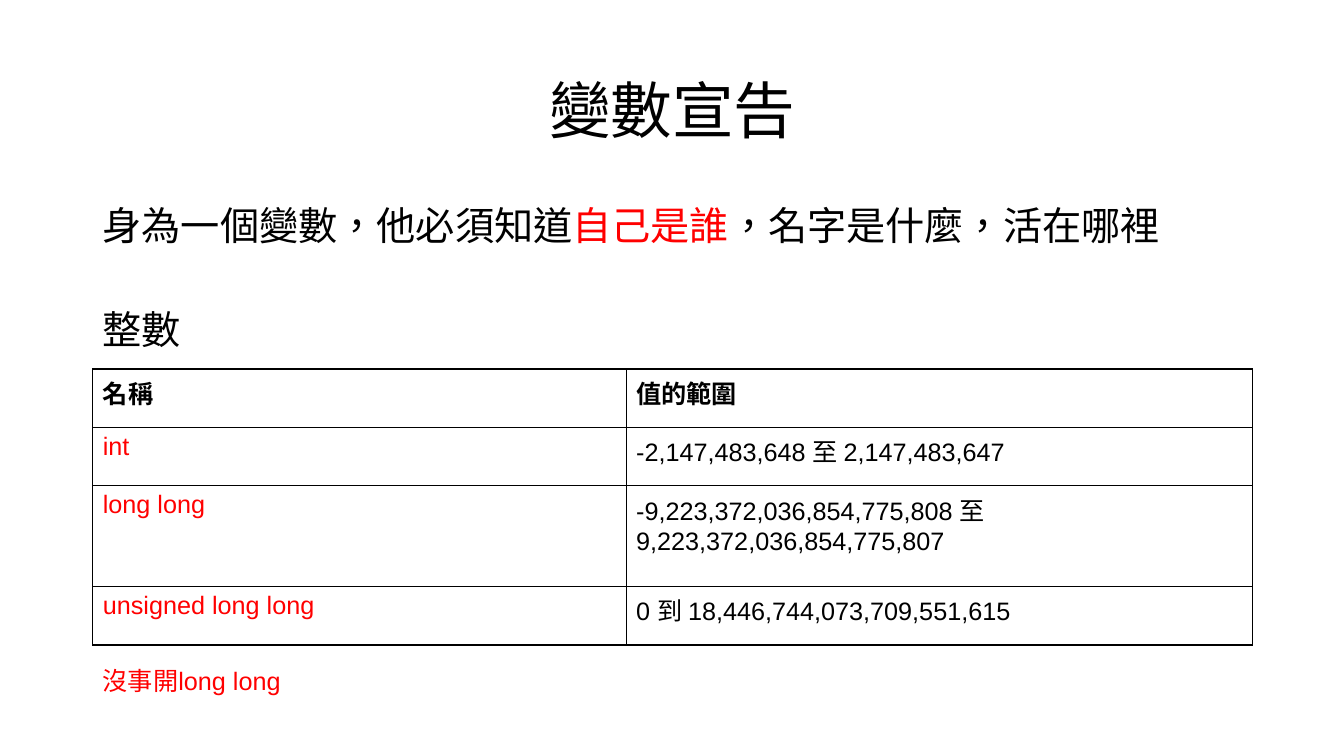
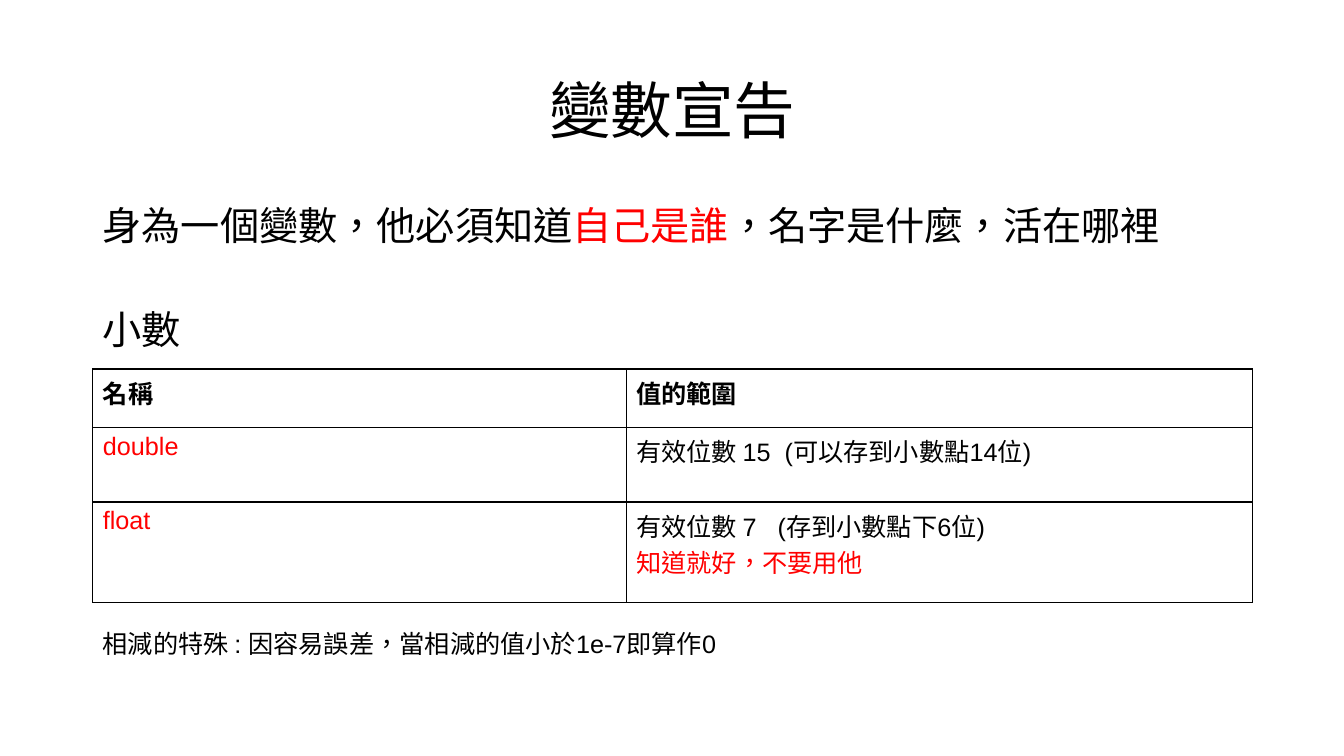
from dataclasses import dataclass

from lxml import etree
from pptx import Presentation
from pptx.dml.color import RGBColor
from pptx.enum import lang, text
from pptx.oxml import ns
from pptx.util import Inches, Pt

COLORS = {"ink": "000000", "accent": "FF0000", "paper": "FFFFFF"}
FONT = "Arial"
LEFT = 0.92
WIDTH = 11.5
TABLE_TOP = 3.66
COLUMN_WIDTHS = (5.29, 6.21)
TITLE = "變數宣告"
HEADERS = ("名稱", "值的範圍")
INTRO = (
    ("身為一個變數，他必須知道", "ink"),
    ("自己是誰", "accent"),
    ("，名字是什麼，活在哪裡", "ink"),
)


@dataclass(frozen=True)
class TypeRow:
    name: str
    value_range: str
    height: float = 0.58
    warning: str = ""


@dataclass(frozen=True)
class TypePage:
    heading: str
    rows: tuple[TypeRow, ...]
    note: str
    note_color: str
    note_top: float
    note_width: float


PAGES = (
    TypePage(
        "整數",
        (
            TypeRow("int", "-2,147,483,648 至 2,147,483,647"),
            TypeRow("long long", "-9,223,372,036,854,775,808 至 9,223,372,036,854,775,807", 1),
            TypeRow("unsigned long long", "0 到 18,446,744,073,709,551,615"),
        ),
        "沒事開long long", "accent", 6.55, 6.56,
    ),
    TypePage(
        "小數",
        (
            TypeRow("double", "有效位數 15  (可以存到小數點14位)", 0.74),
            TypeRow("float", "有效位數 7   (存到小數點下6位)", 1, "知道就好，不要用他"),
        ),
        "相減的特殊 : 因容易誤差，當相減的值小於1e-7即算作0", "ink", 6.18, 6.89,
    ),
)


def style_span(span, size: float, color: str, bold: bool = False) -> None:
    font = span.font
    font.name = FONT
    font.size = Pt(size)
    font.bold = bold
    font.color.rgb = RGBColor.from_string(COLORS[color])
    font.language_id = lang.MSO_LANGUAGE_ID.TRADITIONAL_CHINESE


def write_para(para, words: str, size: float, color: str, bold: bool = False) -> None:
    para.text = words
    for span in para.runs:
        style_span(span, size, color, bold)


def add_box(page, top: float, width: float, height: float):
    box = page.shapes.add_textbox(Inches(LEFT), Inches(top), Inches(width), Inches(height))
    box.text_frame.word_wrap = True
    return box.text_frame


def add_title(page) -> None:
    frame = add_box(page, 0.4, WIDTH, 1.45)
    frame.vertical_anchor = text.MSO_ANCHOR.MIDDLE
    para = frame.paragraphs[0]
    write_para(para, TITLE, 44, "ink")
    para.alignment = text.PP_ALIGN.CENTER
    para.line_spacing = 0.9


def add_body(page, heading: str) -> None:
    frame = add_box(page, 2, WIDTH, 1.6)
    intro = frame.paragraphs[0]
    for words, color in INTRO:
        span = intro.add_run()
        span.text = words
        style_span(span, 28, color)
    subject = frame.add_paragraph()
    write_para(subject, heading, 28, "ink")
    subject.space_before = Pt(44)
    for para in frame.paragraphs:
        para.line_spacing = 0.9


def frame_cell(cell) -> None:
    """Give a cell its paper fill and thin border on all four sides."""
    cell.fill.solid()
    cell.fill.fore_color.rgb = RGBColor.from_string(COLORS["paper"])
    properties = cell._tc.get_or_add_tcPr()
    for index, side in enumerate(("lnL", "lnR", "lnT", "lnB")):
        line = etree.Element(ns.qn(f"a:{side}"), w=str(Pt(1)))
        fill = etree.SubElement(line, ns.qn("a:solidFill"))
        etree.SubElement(fill, ns.qn("a:srgbClr"), val=COLORS["ink"])
        properties.insert(index, line)


def add_type_table(page, rows: tuple[TypeRow, ...]) -> None:
    heights = [0.58] + [row.height for row in rows]
    table = page.shapes.add_table(
        len(heights), len(COLUMN_WIDTHS), Inches(LEFT), Inches(TABLE_TOP),
        Inches(WIDTH), Inches(sum(heights)),
    ).table
    table.first_row = False
    table.horz_banding = False
    for column, width in zip(table.columns, COLUMN_WIDTHS):
        column.width = Inches(width)
    for table_row, height in zip(table.rows, heights):
        table_row.height = Inches(height)
    for cell in table.iter_cells():
        frame_cell(cell)
    for column, header in enumerate(HEADERS):
        write_para(table.cell(0, column).text_frame.paragraphs[0], header, 18, "ink", True)
    for index, row in enumerate(rows, start=1):
        write_para(table.cell(index, 0).text_frame.paragraphs[0], row.name, 18, "accent")
        frame = table.cell(index, 1).text_frame
        write_para(frame.paragraphs[0], row.value_range, 18, "ink")
        if row.warning:
            write_para(frame.add_paragraph(), row.warning, 18, "accent")


def add_note(page, content: TypePage) -> None:
    frame = add_box(page, content.note_top, content.note_width, 0.4)
    write_para(frame.paragraphs[0], content.note, 18, content.note_color)


def main() -> None:
    deck = Presentation()
    deck.slide_width = Inches(13.33)
    deck.slide_height = Inches(7.5)
    for content in PAGES:
        page = deck.slides.add_slide(deck.slide_layouts[6])
        add_title(page)
        add_body(page, content.heading)
        add_type_table(page, content.rows)
        add_note(page, content)
    deck.save("out.pptx")


if __name__ == "__main__":
    main()
